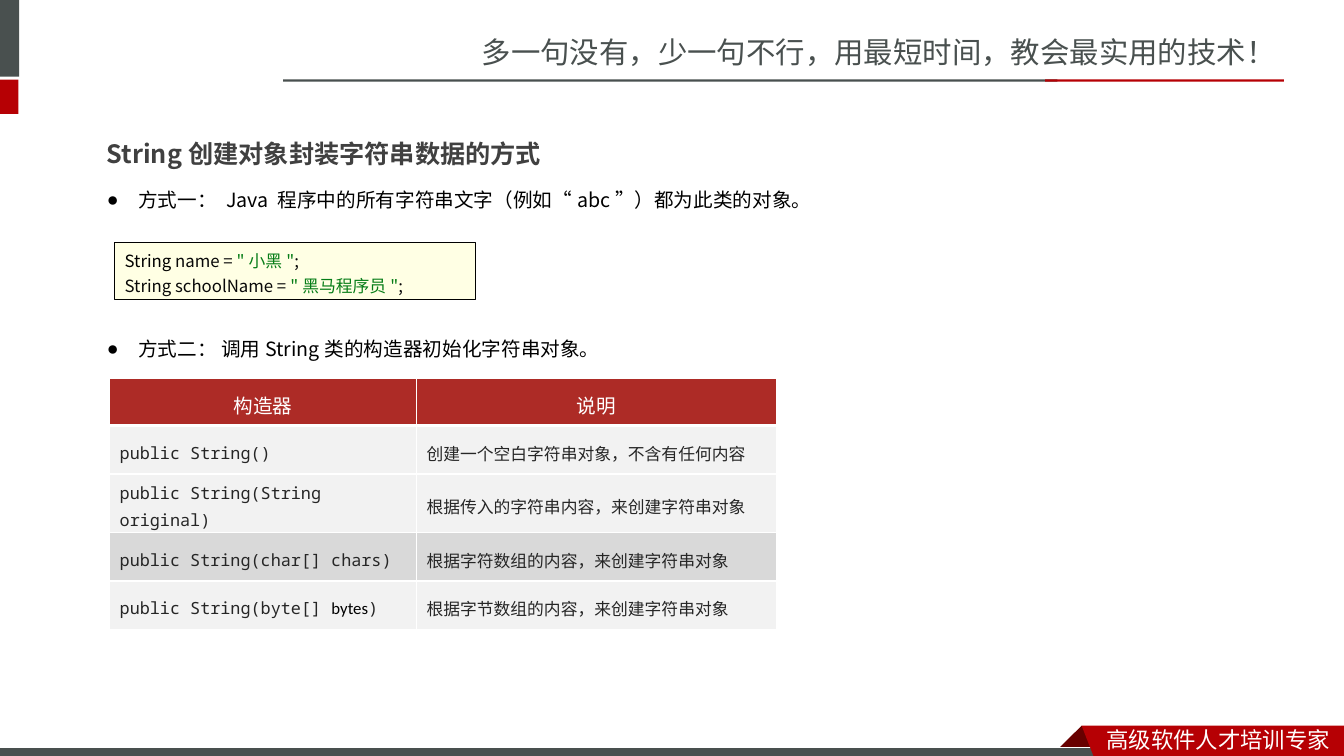
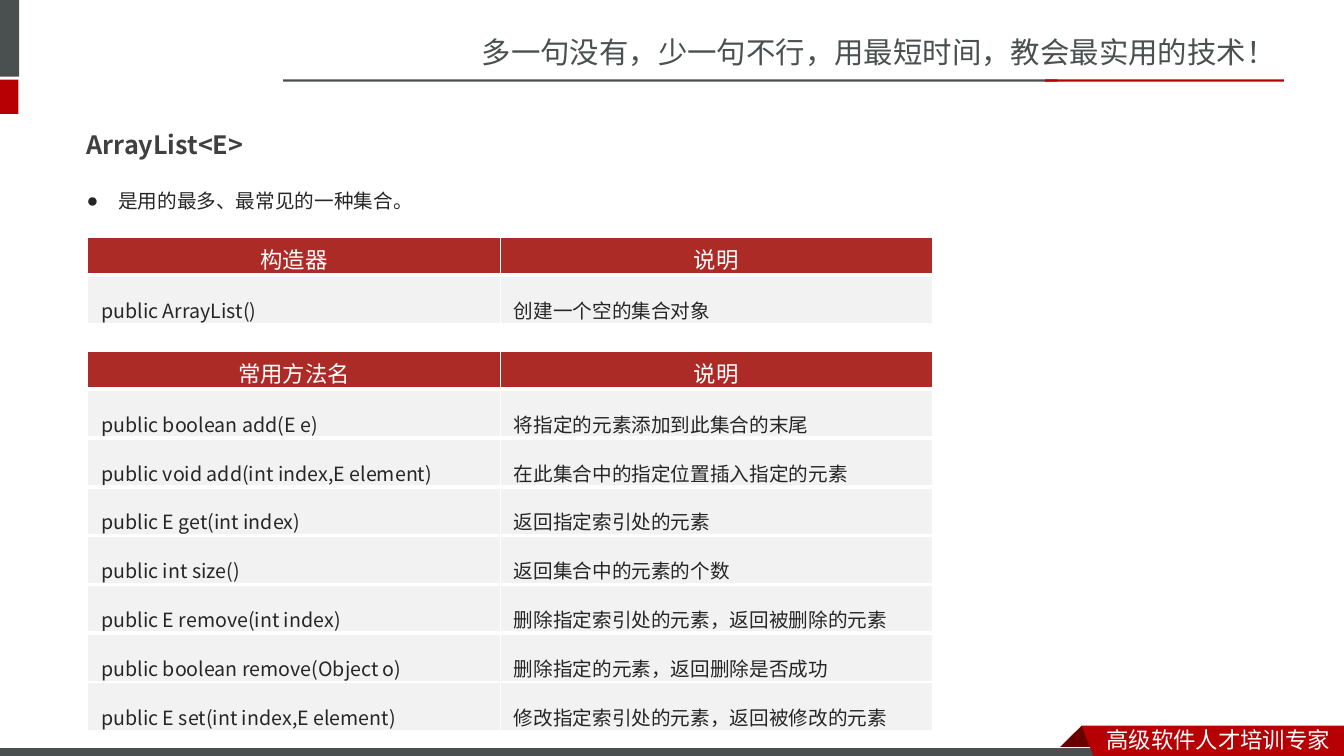
from dataclasses import dataclass
from typing import Optional, Union

from lxml.etree import SubElement
from pptx import Presentation
from pptx.dml.color import RGBColor
from pptx.enum.shapes import MSO_SHAPE
from pptx.enum.text import MSO_ANCHOR, MSO_AUTO_SIZE, PP_ALIGN
from pptx.oxml.ns import qn
from pptx.shapes.autoshape import Shape
from pptx.slide import Slide, SlideLayout
from pptx.table import _Cell
from pptx.text.text import TextFrame, _Paragraph
from pptx.util import Pt

SANS, SANS_JP, MONO, CALIBRI = "Noto Sans CJK SC", "Noto Sans CJK JP", "Noto Sans Mono", "Calibri"


@dataclass(frozen=True)
class TextStyle:
    font: str
    size: float
    colour: str
    spacing: float = 1.0
    bold: bool = False
    align: PP_ALIGN = PP_ALIGN.LEFT


@dataclass(frozen=True)
class Theme:
    slate: str = "49504F"
    red: str = "B60004"
    dark_red: str = "680000"
    white: str = "FFFFFF"
    black: str = "000000"
    code_fill: str = "FFFFE4"
    code_text: str = "080808"
    code_string: str = "067D17"
    header_fill: str = "AD2B26"
    row_fill: str = "F2F2F2"
    marked_fill: str = "D9D9D9"
    slogan: TextStyle = TextStyle(SANS, 21, "49504F")
    ribbon: TextStyle = TextStyle(SANS, 16, "FFFFFF")
    string_title: TextStyle = TextStyle(SANS_JP, 18, "404040", 1.2, True)
    string_bullet: TextStyle = TextStyle(SANS_JP, 14, "000000", 1.2)
    code: TextStyle = TextStyle(SANS_JP, 12, "000000", 1.2)
    string_header: TextStyle = TextStyle(MONO, 14, "FFFFFF", 1.2, align=PP_ALIGN.CENTER)
    string_cell: TextStyle = TextStyle(MONO, 12, "262626", 1.2)
    list_title: TextStyle = TextStyle(SANS, 18, "404040", 1.5, True)
    list_bullet: TextStyle = TextStyle(SANS, 14, "262626", 1.5)
    list_header: TextStyle = TextStyle(CALIBRI, 16, "FFFFFF", align=PP_ALIGN.CENTER)
    list_cell: TextStyle = TextStyle(SANS_JP, 14, "262626", 1.5)


THEME = Theme()


@dataclass(frozen=True)
class Box:
    left: float
    top: float
    width: float
    height: float

    def lengths(self) -> tuple[Pt, Pt, Pt, Pt]:
        return Pt(self.left), Pt(self.top), Pt(self.width), Pt(self.height)


@dataclass(frozen=True)
class Span:
    """A piece of a line that may differ from the paragraph's font."""
    text: str
    colour: Optional[str] = None
    font: Optional[str] = None


Line = Union[str, tuple[Span, ...]]


@dataclass(frozen=True)
class RowDesign:
    style: TextStyle
    height: float
    side_margin: float
    top_margin: float
    bottom_margin: float


@dataclass(frozen=True)
class TableDesign:
    columns: tuple[float, float]
    header: RowDesign
    body: RowDesign


@dataclass(frozen=True)
class Band:
    box: Box
    colour: str
    outline: Optional[str] = None


STRING_TABLE = TableDesign((219.2, 257),
                           RowDesign(THEME.string_header, 34, 7.2, 3.6, 3.6),
                           RowDesign(THEME.string_cell, 34.6, 7.2, 2, 0.6))
LIST_TABLE = TableDesign((294.7, 308.7),
                         RowDesign(THEME.list_header, 26.8, 7.2, 3.6, 0),
                         RowDesign(THEME.list_cell, 34.7, 9.8, 4.2, 0))

TOP_BANDS = (
    Band(Box(-4.3, 0, 18, 54.7), THEME.slate),
    Band(Box(-4.3, 56.9, 17.5, 24.5), THEME.red),
    Band(Box(202.3, 56.8, 553, 1.6), THEME.slate),
    Band(Box(746.6, 56.8, 170.6, 1.6), THEME.red),
)
BOTTOM_BAND = Band(Box(-0.7, 533.8, 792, 8.6), THEME.slate, THEME.white)
RIBBON_FOLD = ((772.6, 518.4), (788.4, 534.2), (787.7, 535), (757.4, 535), (756.7, 534.2))
RIBBON = ((772.6, 518.4), (960, 518.4), (960, 542.9), (781.9, 542.2))


def rgb(colour: str) -> RGBColor:
    return RGBColor.from_string(colour)


def write_line(paragraph: _Paragraph, line: Line, style: TextStyle) -> None:
    paragraph.alignment = style.align
    paragraph.line_spacing = style.spacing
    paragraph.space_before = Pt(0)
    font = paragraph.font
    font.name, font.size, font.bold = style.font, Pt(style.size), style.bold
    font.color.rgb = rgb(style.colour)
    for span in (Span(line),) if isinstance(line, str) else line:
        run = paragraph.add_run()
        run.text = span.text
        if span.colour:
            run.font.color.rgb = rgb(span.colour)
        if span.font:
            run.font.name = span.font


def write_lines(frame: TextFrame, lines: tuple[Line, ...], style: TextStyle,
                anchor: MSO_ANCHOR = MSO_ANCHOR.TOP) -> None:
    frame.word_wrap = True
    frame.auto_size = MSO_AUTO_SIZE.NONE
    frame.vertical_anchor = anchor
    for index, line in enumerate(lines):
        paragraph = frame.add_paragraph() if index else frame.paragraphs[0]
        write_line(paragraph, line, style)


def place(shape: Shape, box: Box) -> None:
    shape.left, shape.top, shape.width, shape.height = box.lengths()


def add_text(slide: Slide, box: Box, text: str, style: TextStyle) -> None:
    write_lines(slide.shapes.add_textbox(*box.lengths()).text_frame, (text,), style)


def fill_title(slide: Slide, box: Box, text: str, style: TextStyle) -> None:
    title = slide.shapes.title
    place(title, box)
    write_lines(title.text_frame, (text,), style)


def fill_bullet(placeholder: Shape, box: Box, text: str, style: TextStyle) -> None:
    place(placeholder, box)
    paragraph_properties = placeholder.text_frame.paragraphs[0]._p.get_or_add_pPr()
    paragraph_properties.set("marL", str(Pt(22.5)))
    paragraph_properties.set("indent", str(-Pt(22.5)))
    SubElement(paragraph_properties, qn("a:buChar"), char="●")
    write_lines(placeholder.text_frame, (text,), style)


def paint(shape: Shape, colour: str, outline: Optional[str] = None) -> None:
    shape.shadow.inherit = False
    shape.fill.solid()
    shape.fill.fore_color.rgb = rgb(colour)
    if outline:
        shape.line.color.rgb = rgb(outline)
        shape.line.width = Pt(0.75)
    else:
        shape.line.fill.background()


def add_rectangle(slide: Slide, band: Band) -> Shape:
    shape = slide.shapes.add_shape(MSO_SHAPE.RECTANGLE, *band.box.lengths())
    paint(shape, band.colour, band.outline)
    return shape


def add_outline(slide: Slide, points: tuple[tuple[float, float], ...], colour: str) -> None:
    start, *others = [(Pt(x), Pt(y)) for x, y in points]
    builder = slide.shapes.build_freeform(*start)
    builder.add_line_segments(others, close=True)
    paint(builder.convert_to_shape(), colour)


def build_shared_frame(slide: Slide, layout: SlideLayout) -> None:
    """Draw the bands, slogan and ribbon, then hand them over to the layout."""
    for placeholder in list(layout.placeholders):
        if placeholder.placeholder_format.idx >= 10:
            layout.shapes.element.remove(placeholder.element)
    add_text(slide, Box(337, 20.6, 623, 32.4), "多一句没有，少一句不行，用最短时间，教会最实用的技术！", THEME.slogan)
    for band in TOP_BANDS:
        add_rectangle(slide, band)
    add_outline(slide, RIBBON_FOLD, THEME.dark_red)
    add_rectangle(slide, BOTTOM_BAND)
    add_outline(slide, RIBBON, THEME.red)
    add_text(slide, Box(783.4, 514.8, 176.6, 26.6), "高级软件人才培训专家", THEME.ribbon)
    for shape in list(slide.shapes):
        if not shape.is_placeholder:
            layout.shapes.element.append(shape.element)


def add_borders(cell: _Cell, top: float, bottom: float) -> None:
    properties = cell._tc.get_or_add_tcPr()
    for side, width in (("L", 1), ("R", 1), ("T", top), ("B", bottom)):
        border = SubElement(properties, qn(f"a:ln{side}"), w=str(Pt(width)))
        SubElement(SubElement(border, qn("a:solidFill")), qn("a:srgbClr"), val=THEME.white)


def add_grid(slide: Slide, left: float, top: float, design: TableDesign, rows: tuple[tuple[Line, Line], ...],
             thick_edges: int = 1, marked_row: Optional[int] = None) -> None:
    """Add a table whose first thick_edges inner row edges have a wide border."""
    row_designs = [design.header] + [design.body] * (len(rows) - 1)
    box = Box(left, top, sum(design.columns), sum(row.height for row in row_designs))
    table = slide.shapes.add_table(len(rows), len(design.columns), *box.lengths()).table
    table.horz_banding = False
    for column, width in zip(table.columns, design.columns):
        column.width = Pt(width)
    edges = [3 if 1 <= edge <= thick_edges else 1 for edge in range(len(rows) + 1)]
    fills = [THEME.header_fill] + [THEME.row_fill] * (len(rows) - 1)
    if marked_row is not None:
        fills[marked_row] = THEME.marked_fill
    for index, (lines, row_design) in enumerate(zip(rows, row_designs)):
        table.rows[index].height = Pt(row_design.height)
        for cell, line in zip(table.rows[index].cells, lines):
            add_borders(cell, edges[index], edges[index + 1])
            cell.fill.solid()
            cell.fill.fore_color.rgb = rgb(fills[index])
            cell.vertical_anchor = MSO_ANCHOR.MIDDLE
            cell.margin_left = cell.margin_right = Pt(row_design.side_margin)
            cell.margin_top = Pt(row_design.top_margin)
            cell.margin_bottom = Pt(row_design.bottom_margin)
            write_line(cell.text_frame.paragraphs[0], line, row_design.style)


def build_string_slide(slide: Slide) -> None:
    fill_title(slide, Box(69.1, 90.7, 368.6, 31.7), "String创建对象封装字符串数据的方式", THEME.string_title)
    fill_bullet(slide.placeholders[1], Box(69.1, 127.4, 658, 26.6),
                "方式一： Java 程序中的所有字符串文字（例如“abc”）都为此类的对象。", THEME.string_bullet)
    fill_bullet(slide.placeholders[2], Box(69.1, 233.8, 368.6, 26.6),
                "方式二： 调用String类的构造器初始化字符串对象。", THEME.string_bullet)
    code_box = add_rectangle(slide, Band(Box(82, 173.3, 257.8, 41), THEME.code_fill, THEME.black))
    semicolon = Span(";", THEME.code_text)
    write_lines(code_box.text_frame, (
        (Span("String "), Span("name = ", THEME.code_text), Span('"小黑"', THEME.code_string), semicolon),
        (Span("String schoolName = ", THEME.code_text), Span('"黑马程序员"', THEME.code_string), semicolon),
    ), THEME.code, MSO_ANCHOR.MIDDLE)
    add_grid(slide, 78.3, 270, STRING_TABLE, (
        ("构造器", "说明"),
        ("public String()", "创建一个空白字符串对象，不含有任何内容"),
        ("public String(String original)", "根据传入的字符串内容，来创建字符串对象"),
        ("public String(char[] chars)", "根据字符数组的内容，来创建字符串对象"),
        ((Span("public String(byte[] "), Span("bytes", THEME.black, CALIBRI), Span(")")),
         "根据字节数组的内容，来创建字符串对象"),
    ), marked_row=3)


def build_list_slide(slide: Slide) -> None:
    fill_title(slide, Box(54.7, 77.8, 368.6, 36), "ArrayList<E>", THEME.list_title)
    fill_bullet(slide.placeholders[1], Box(54.7, 123.1, 815, 29.5), "是用的最多、最常见的一种集合。", THEME.list_bullet)
    unused = slide.placeholders[2].element
    unused.getparent().remove(unused)
    add_grid(slide, 62.6, 169.8, LIST_TABLE, (
        ("构造器", "说明"),
        ("public ArrayList()", "创建一个空的集合对象"),
    ))
    add_grid(slide, 62.6, 251.3, LIST_TABLE, (
        ("常用方法名", "说明"),
        ("public boolean add(E e)", "将指定的元素添加到此集合的末尾"),
        ("public void add(int index,E element)", "在此集合中的指定位置插入指定的元素"),
        ("public E get(int index)", "返回指定索引处的元素"),
        ("public int size()", "返回集合中的元素的个数"),
        ("public E remove(int index)", "删除指定索引处的元素，返回被删除的元素"),
        ("public boolean remove(Object o)", "删除指定的元素，返回删除是否成功"),
        ("public E set(int index,E element)", "修改指定索引处的元素，返回被修改的元素"),
    ), thick_edges=6)


def main() -> None:
    presentation = Presentation()
    presentation.slide_width, presentation.slide_height = Pt(960), Pt(540)
    layout = presentation.slide_layouts.get_by_name("Two Content")
    string_slide = presentation.slides.add_slide(layout)
    build_shared_frame(string_slide, layout)
    build_string_slide(string_slide)
    build_list_slide(presentation.slides.add_slide(layout))
    presentation.save("out.pptx")


if __name__ == "__main__":
    main()
